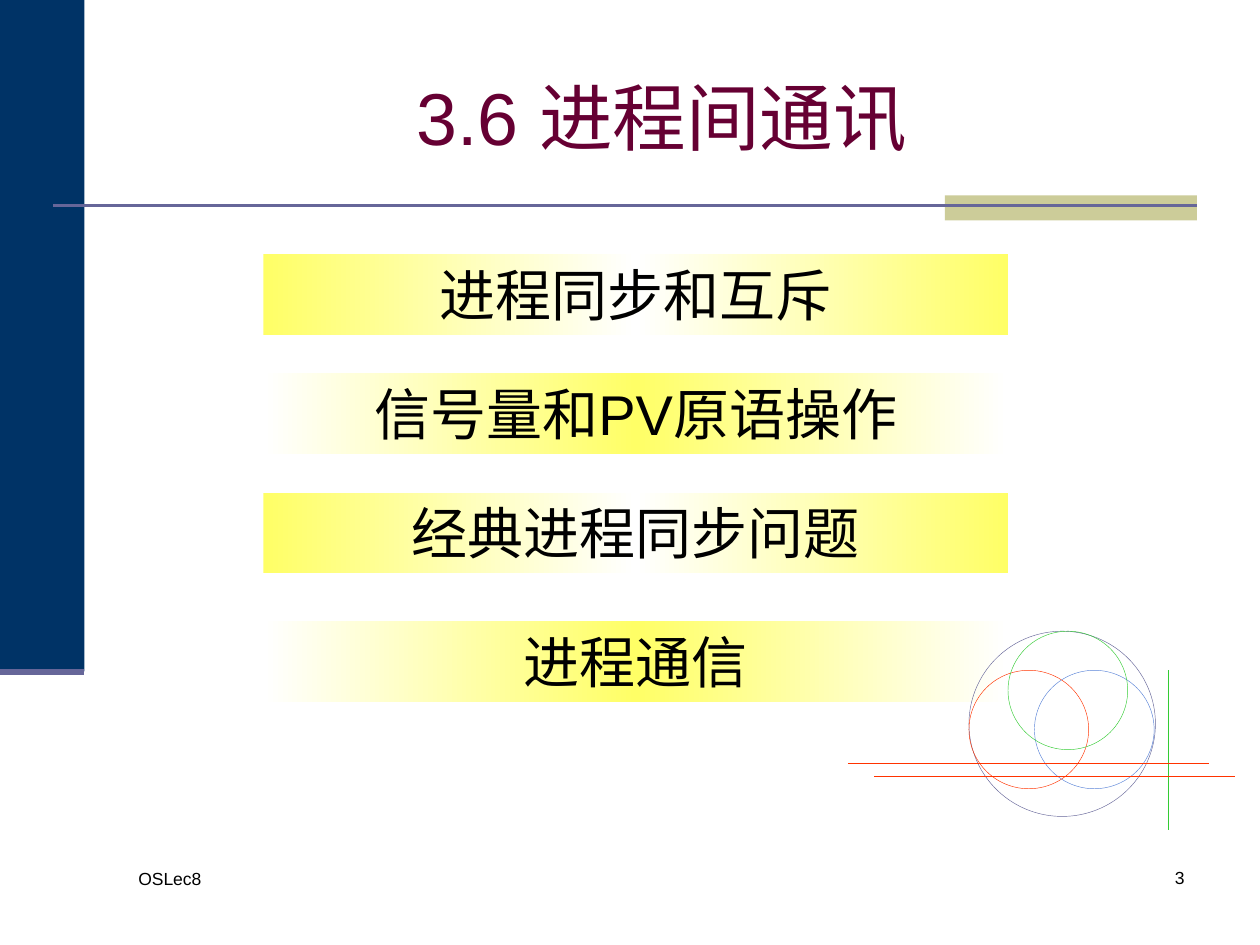
"""Build the section slide on inter-process communication."""
from copy import deepcopy

from lxml import etree
from pptx import Presentation
from pptx.dml.color import RGBColor
from pptx.enum.dml import MSO_LINE
from pptx.enum.shapes import MSO_CONNECTOR, MSO_SHAPE
from pptx.enum.text import MSO_ANCHOR, MSO_AUTO_SIZE, PP_ALIGN
from pptx.oxml.ns import qn
from pptx.util import Inches, Pt

RECTANGLE, OVAL = MSO_SHAPE.RECTANGLE, MSO_SHAPE.OVAL
STRAIGHT, DOTTED = MSO_CONNECTOR.STRAIGHT, MSO_LINE.ROUND_DOT
LEFT, CENTER, RIGHT = PP_ALIGN.LEFT, PP_ALIGN.CENTER, PP_ALIGN.RIGHT
TOP, MIDDLE = MSO_ANCHOR.TOP, MSO_ANCHOR.MIDDLE
GROW = MSO_AUTO_SIZE.SHAPE_TO_FIT_TEXT

NAVY = RGBColor(0x00, 0x33, 0x66)
KHAKI = RGBColor(0xCC, 0xCC, 0x99)
SLATE = RGBColor(0x66, 0x66, 0x99)
MAROON = RGBColor(0x66, 0x00, 0x33)
BLACK = RGBColor(0x00, 0x00, 0x00)
YELLOW = RGBColor(0xFF, 0xFF, 0x66)
WHITE = RGBColor(0xFF, 0xFF, 0xFF)
GREEN = RGBColor(0x33, 0xCC, 0x33)
RED = RGBColor(0xFF, 0x33, 0x00)
BLUE = RGBColor(0x5A, 0x84, 0xD8)
FONT = "Arial"
HAIRLINE = 0.26

LABELS = [
    ("OSLec8", (1, 6.84, 2.17, 0.5), 10, BLACK, LEFT, TOP),
    ("3", (7.42, 6.83, 2.08, 0.5), 10, BLACK, RIGHT, TOP),
    ("3.6 进程间通讯", (1, 0.3, 8.5, 1.25), 42, MAROON, CENTER, MIDDLE),
]
TOPICS = [
    ("进程同步和互斥", 2.02),
    ("信号量和PV原语操作", 2.96),
    ("经典进程同步问题", 3.91),
    ("进程通信", 4.93),
]
TOPIC_LEFT, TOPIC_WIDTH, TOPIC_HEIGHT = 2.09, 5.91, 0.64
PANELS = [((0, 0, 0.67, 5.33), NAVY), ((7.5, 1.55, 2, 0.2), KHAKI)]
RULES = [
    ((0.42, 1.63, 9.5, 1.63), SLATE, 1.5, None),
    ((0, 5.33, 0.67, 5.33), SLATE, 3.49, None),
]
CIRCLES = [
    ((7.69, 5.01, 1.48, 1.47), SLATE),
    ((7.69, 5.32, 0.95, 0.94), RED),
    ((8.21, 5.32, 0.95, 0.94), BLUE),
    ((8, 5.01, 0.95, 0.94), GREEN),
]
AXES = [
    ((9.27, 5.32, 9.27, 6.59), GREEN, HAIRLINE, None),
    ((6.73, 6.06, 9.59, 6.06), RED, HAIRLINE, DOTTED),
    ((6.94, 6.16, 9.8, 6.16), RED, HAIRLINE, None),
]

prs = Presentation()
prs.slide_width, prs.slide_height = Inches(10), Inches(7.5)
slide = prs.slides.add_slide(prs.slide_layouts[6])


def add_plain(kind, box):
    shape = slide.shapes.add_shape(kind, *map(Inches, box))
    shape.shadow.inherit = False
    shape.line.fill.background()
    return shape


def add_rule(ends, color, width, dash):
    rule = slide.shapes.add_connector(STRAIGHT, *map(Inches, ends))
    rule.line.color.rgb = color
    rule.line.width = Pt(width)
    if dash:
        rule.line.dash_style = dash
    etree.SubElement(rule._element.spPr, qn("a:effectLst"))


def write(shape, text, size, color, align, anchor):
    frame = shape.text_frame
    frame.word_wrap = True
    frame.vertical_anchor = anchor
    paragraph = frame.paragraphs[0]
    paragraph.text = text
    paragraph.alignment = align
    paragraph.font.name = FONT
    paragraph.font.size = Pt(size)
    paragraph.font.color.rgb = color
    return paragraph


def fill_mirrored(shape, edge, middle):
    shape.fill.gradient()
    shape.fill.gradient_angle = 0
    first = shape._element.spPr.find(".//" + qn("a:gs"))
    first.addnext(deepcopy(first))
    stops = zip(shape.fill.gradient_stops, (0, 0.5, 1), (edge, middle, edge))
    for stop, position, color in stops:
        stop.position = position
        stop.color.rgb = color


for box, color in PANELS:
    panel = add_plain(RECTANGLE, box)
    panel.fill.solid()
    panel.fill.fore_color.rgb = color
for rule in RULES:
    add_rule(*rule)

for text, box, *style in LABELS:
    write(slide.shapes.add_textbox(*map(Inches, box)), text, *style)

for index, (text, top) in enumerate(TOPICS):
    bar = add_plain(RECTANGLE, (TOPIC_LEFT, top, TOPIC_WIDTH, TOPIC_HEIGHT))
    fill_mirrored(bar, *((WHITE, YELLOW) if index % 2 else (YELLOW, WHITE)))
    write(bar, text, 32, BLACK, CENTER, TOP).space_before = Pt(20)
    bar.text_frame.auto_size = GROW

for box, color in CIRCLES:
    circle = add_plain(OVAL, box)
    circle.fill.background()
    circle.line.color.rgb = color
    circle.line.width = Pt(HAIRLINE)
for axis in AXES:
    add_rule(*axis)

prs.save("out.pptx")
